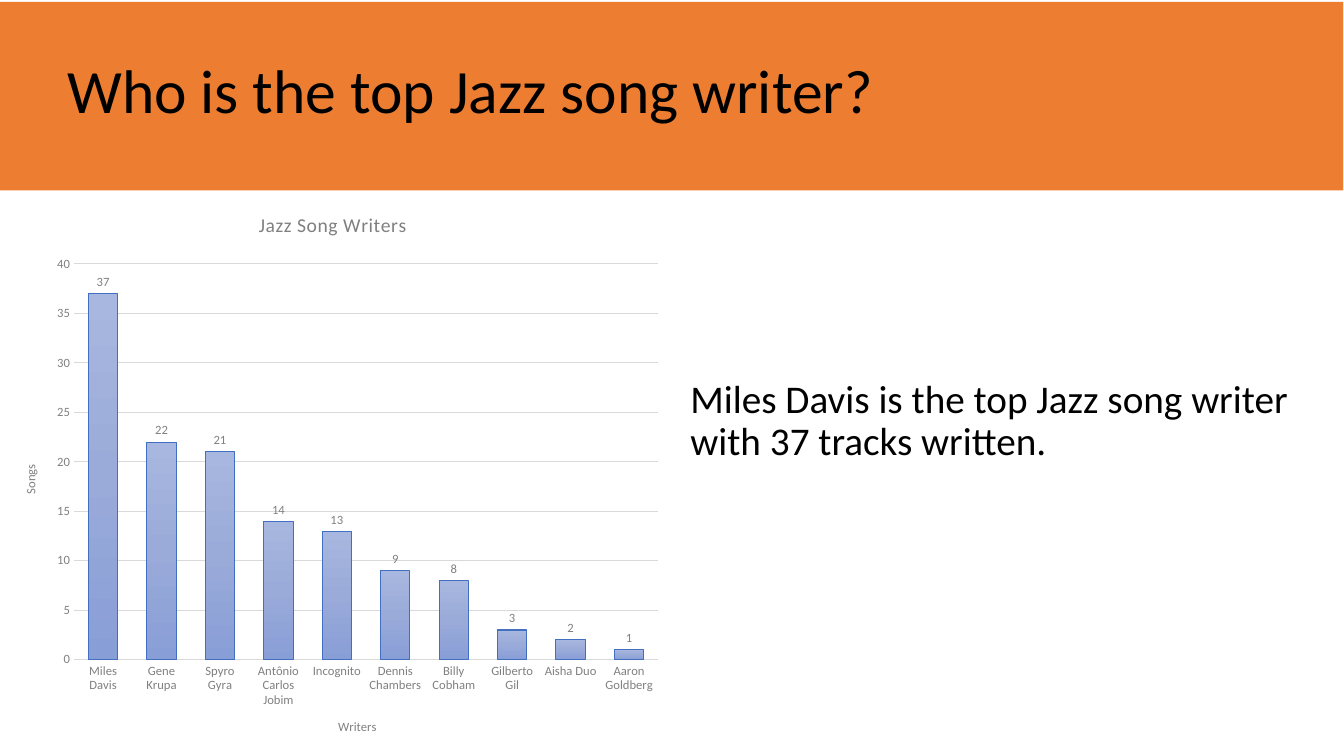
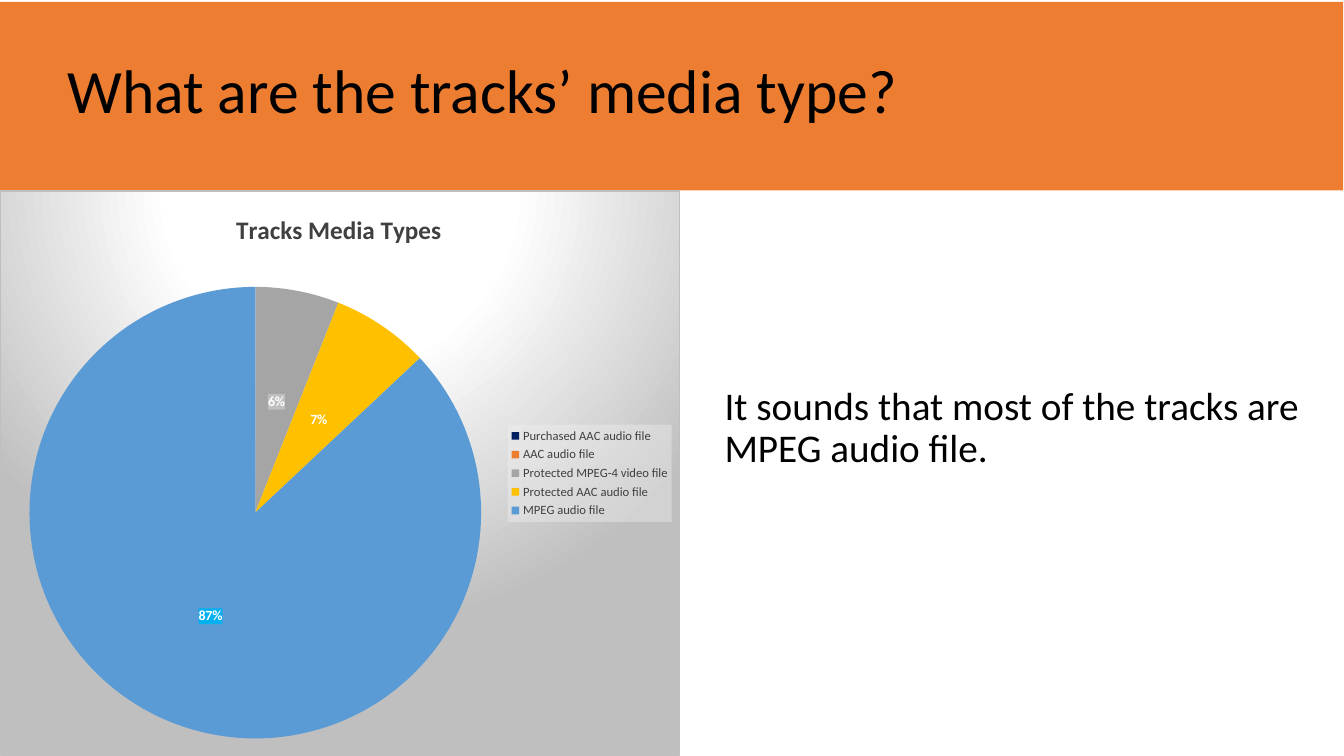
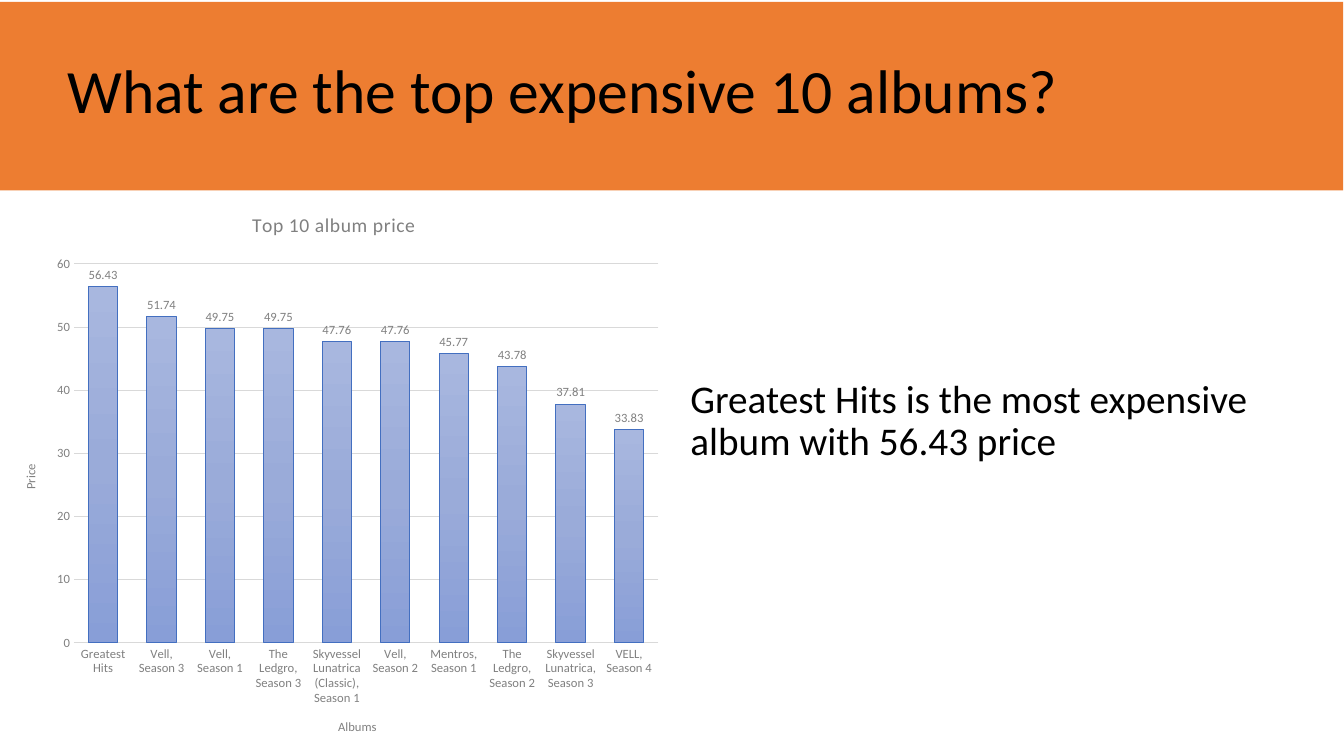
from dataclasses import dataclass
from typing import Any, Optional

from pptx import Presentation
from pptx.chart.data import CategoryChartData as Data
from pptx.dml.color import RGBColor as RGB
from pptx.enum.chart import XL_CHART_TYPE as Kind
from pptx.enum.chart import XL_LABEL_POSITION as Spot
from pptx.enum.chart import XL_LEGEND_POSITION as Side
from pptx.enum.chart import XL_TICK_MARK as Tick
from pptx.enum.shapes import MSO_SHAPE as Shape
from pptx.enum.text import MSO_ANCHOR as Anchor
from pptx.oxml import parse_xml
from pptx.oxml.ns import nsdecls
from pptx.util import Cm, Pt

# Shared style
FONT = "Calibri"
BLACK, WHITE = RGB(0, 0, 0), RGB(255, 255, 255)
ORANGE = RGB(0xED, 0x7D, 0x31)
GRAY, DARK = RGB(0x80, 0x80, 0x80), RGB(0x40, 0x40, 0x40)
PALE, SILVER = RGB(0xD9, 0xD9, 0xD9), RGB(0xBF, 0xBF, 0xBF)
BLUE = RGB(0x43, 0x6F, 0xC0)
BAR_FADE = [(0, RGB(0xA8, 0xB7, 0xDF)), (50, RGB(0x9A, 0xAB, 0xD9)),
            (100, RGB(0x88, 0x9E, 0xD7))]
AREA_FADE = [(0, WHITE), (39, WHITE), (100, SILVER)]
WIDE, HIGH = 33.87, 19.05
TOP = 4.8
THIN = Pt(0.75)


@dataclass
class Bars:
    title: str
    left: float
    cats: list[str]
    vals: list[float]
    names: tuple[str, str]
    top: int
    step: int
    depth: float


@dataclass
class Slice:
    name: str
    share: int
    color: RGB
    tag: Optional[RGB]
    shift: Optional[tuple[float, float]] = None


@dataclass
class Page:
    title: str
    note: str
    left: float
    top: float
    bars: Optional[Bars] = None


SLICES = [
    Slice("Purchased AAC audio file", 0, RGB(0, 0x20, 0x60), DARK, (-0.05, -0.15)),
    Slice("AAC audio file", 0, ORANGE, ORANGE, (0.03, -0.16)),
    Slice("Protected MPEG-4 video file", 6, RGB(0xA5, 0xA5, 0xA5), SILVER),
    Slice("Protected AAC audio file", 7, RGB(0xFF, 0xC0, 0), None),
    Slice("MPEG audio file", 87, RGB(0x5B, 0x9B, 0xD5), RGB(0, 0xB0, 0xF0)),
]

PAGES = [
    Page("Who is the top Jazz song writer?",
         "Miles Davis is the top Jazz song writer with 37 tracks written.", 17.15, 5.08,
         Bars("Jazz Song Writers", 0.38,
              ["Miles Davis", "Gene Krupa", "Spyro Gyra", "Antônio Carlos Jobim",
               "Incognito", "Dennis Chambers", "Billy Cobham", "Gilberto Gil",
               "Aisha Duo", "Aaron Goldberg"],
              [37, 22, 21, 14, 13, 9, 8, 3, 2, 1], ("Writers", "Songs"), 40, 5, 0.7)),
    Page("What are the tracks’ media type?",
         "It sounds that most of the tracks are MPEG audio file.", 18.01, 5.26),
    Page("What are the top expensive 10 albums?",
         "Greatest Hits is the most expensive album with 56.43 price", 17.15, 5.08,
         Bars("Top 10 album price", 0.37,
              ["Greatest Hits", "Vell, Season 3", "Vell, Season 1",
               "The Ledgro, Season 3", "Skyvessel Lunatrica (Classic), Season 1",
               "Vell, Season 2", "Mentros, Season 1", "The Ledgro, Season 2",
               "Skyvessel Lunatrica, Season 3", "VELL, Season 4"],
              [56.43, 51.74, 49.75, 49.75, 47.76, 47.76, 45.77, 43.78, 37.81, 33.83],
              ("Albums", "Price"), 60, 10, 0.67)),
]


# Text
def style(font: Any, size: float, color: RGB, bold: bool = False) -> None:
    font.name, font.size, font.bold = FONT, Pt(size), bold
    font.color.rgb = color


def write(frame: Any, text: str, *, size: float, color: RGB = BLACK,
          bold: bool = False, space: Optional[float] = None, track: int = 0) -> None:
    para = frame.paragraphs[0]
    if space:
        para.line_spacing = space
    run = para.add_run()
    run.text = text
    style(run.font, size, color, bold)
    if track:
        run.font._element.set("spc", str(track))


def box(slide: Any, x: float, y: float, w: float, h: float) -> Any:
    frame = slide.shapes.add_textbox(Cm(x), Cm(y), Cm(w), Cm(h)).text_frame
    frame.word_wrap = True
    return frame


# Chart XML
def solid(color: RGB, alpha: int = 100) -> str:
    return (f'<a:solidFill><a:srgbClr val="{color}"><a:alpha val="{alpha * 1000}"/>'
            '</a:srgbClr></a:solidFill>')


def fade(stops: list[tuple[int, RGB]], course: str) -> str:
    marks = "".join(f'<a:gs pos="{at * 1000}"><a:srgbClr val="{color}"/></a:gs>'
                    for at, color in stops)
    return f'<a:gradFill {nsdecls("a")}><a:gsLst>{marks}</a:gsLst>{course}</a:gradFill>'


def props(inner: str) -> Any:
    return parse_xml(f'<c:spPr {nsdecls("c", "a")}>{inner}</c:spPr>')


def place(node: Any, index: int, edge: bool = True, **parts: float) -> None:
    for old in node.xpath("./c:layout"):
        node.remove(old)
    modes = '<c:xMode val="edge"/><c:yMode val="edge"/>' if edge else ""
    if "w" in parts:
        modes = '<c:layoutTarget val="inner"/>' + modes
    sizes = "".join(f'<c:{key} val="{val}"/>' for key, val in parts.items())
    node.insert(index, parse_xml(
        f'<c:layout {nsdecls("c")}><c:manualLayout>{modes}{sizes}'
        '</c:manualLayout></c:layout>'))


# Charts
def add_chart(slide: Any, kind: Any, width: float, cats: list[str], vals: list) -> Any:
    data = Data()
    data.categories = cats
    data.add_series("Series 1", vals)
    chart = slide.shapes.add_chart(kind, Cm(0), Cm(TOP), Cm(width), Cm(HIGH - TOP),
                                   data).chart
    style(chart.font, 10, BLACK)
    chart.has_title = True
    chart.has_legend = False
    return chart


def draw_bars(slide: Any, bars: Bars) -> None:
    chart = add_chart(slide, Kind.COLUMN_CLUSTERED, 16.93, bars.cats, bars.vals)
    write(chart.chart_title.text_frame, bars.title, size=14, color=GRAY, track=30)
    plot = chart.plots[0]
    plot.gap_width, plot.overlap, plot.vary_by_categories = 100, -24, False

    # Columns and their values
    row = plot.series[0]
    row.format.fill.solid()
    row.format.line.color.rgb = BLUE
    row.format.line.width = THIN
    plain = chart.element.xpath(".//c:ser/c:spPr/a:solidFill")[0]
    plain.getparent().replace(plain, parse_xml(fade(BAR_FADE, '<a:lin ang="5400000"/>')))
    tags = row.data_labels
    tags.show_value, tags.position = True, Spot.OUTSIDE_END
    style(tags.font, 9, GRAY)

    # Axes
    base, scale = chart.category_axis, chart.value_axis
    for axis, name in zip((base, scale), bars.names):
        axis.major_tick_mark = axis.minor_tick_mark = Tick.NONE
        style(axis.tick_labels.font, 9, GRAY)
        write(axis.axis_title.text_frame, name, size=9, color=GRAY)
    base.has_major_gridlines = False
    scale.format.line.fill.background()
    for line in (base.format.line, scale.major_gridlines.format.line):
        line.color.rgb, line.width = PALE, THIN
    scale.minimum_scale, scale.maximum_scale, scale.major_unit = 0, bars.top, bars.step

    # Layout
    root = chart.element
    root.xpath(".//c:valAx/c:title//a:bodyPr")[0].set("rot", "-5400000")
    place(root.xpath("c:chart/c:title")[0], 1, x=bars.left, y=0.03)
    place(root.xpath(".//c:catAx/c:title")[0], 1, x=0.5, y=0.93)
    place(root.xpath(".//c:valAx/c:title")[0], 1, x=0.03, y=0.48)
    place(root.xpath(".//c:plotArea")[0], 0, x=0.11, y=0.13, w=0.87, h=bars.depth)


def draw_pie(slide: Any) -> None:
    chart = add_chart(slide, Kind.PIE, 17.15, [part.name for part in SLICES],
                      [part.share for part in SLICES])
    write(chart.chart_title.text_frame, "Tracks Media Types", size=18, color=DARK, bold=True)
    root = chart.element

    # Slices and their shares
    row = chart.plots[0].series[0]
    tags = row.data_labels
    tags.show_percentage, tags.show_value, tags.position = True, False, Spot.CENTER
    style(tags.font, 10, WHITE, True)
    for i, part in enumerate(SLICES):
        point = row.points[i]
        point.format.fill.solid()
        point.format.fill.fore_color.rgb = part.color
        point.data_label.position = Spot.CENTER
        style(point.data_label.font, 10, WHITE, True)
        tag = root.xpath(f".//c:dLbl[c:idx/@val='{i}']")[0]
        tag.xpath("c:showVal")[0].set("val", "0")
        tag.xpath("c:showPercent")[0].set("val", "1")
        for old in tag.xpath("c:spPr"):
            tag.remove(old)
        if part.tag is not None:
            tag.insert(1, props(solid(part.tag)))
        if part.shift:
            place(tag, 1, edge=False, x=part.shift[0], y=part.shift[1])

    # Legend
    chart.has_legend = True
    chart.legend.position = Side.RIGHT
    chart.legend.include_in_layout = False
    style(chart.legend.font, 9, DARK)
    root.xpath(".//c:legend/c:overlay")[0].addnext(props(solid(RGB(0xF2, 0xF2, 0xF2), 39)))

    # Background and layout
    course = ('<a:path path="circle"><a:fillToRect l="50000" t="-80000" '
              'r="50000" b="180000"/></a:path>')
    border = f'<a:ln w="{THIN}">{solid(SILVER)}</a:ln>'
    root.xpath("c:chart")[0].addnext(props(fade(AREA_FADE, course) + border))
    place(root.xpath("c:chart/c:title")[0], 1, x=0.34, y=0.03)
    place(root.xpath(".//c:plotArea")[0], 0, x=0.04, y=0.17, w=0.67, h=0.8)


# Slides
def draw_page(deck: Any, page: Page) -> None:
    slide = deck.slides.add_slide(deck.slide_layouts[6])
    note = box(slide, page.left, page.top, WIDE - page.left, 12.09)
    note.margin_top = Cm(4.48)
    write(note, page.note, size=28, space=0.9)

    band = slide.shapes.add_shape(Shape.RECTANGLE, Cm(-0.02), Cm(0.05), Cm(WIDE),
                                  Cm(TOP - 0.05))
    band.shadow.inherit = False
    band.fill.solid()
    band.fill.fore_color.rgb = ORANGE
    band.line.fill.background()

    head = box(slide, 1.45, 0.52, 29.21, 3.68)
    head.vertical_anchor = Anchor.MIDDLE
    write(head, page.title, size=44, space=0.9)

    if page.bars:
        draw_bars(slide, page.bars)
    else:
        draw_pie(slide)


deck = Presentation()
deck.slide_width, deck.slide_height = Cm(WIDE), Cm(HIGH)
for page in PAGES:
    draw_page(deck, page)
deck.save("out.pptx")
